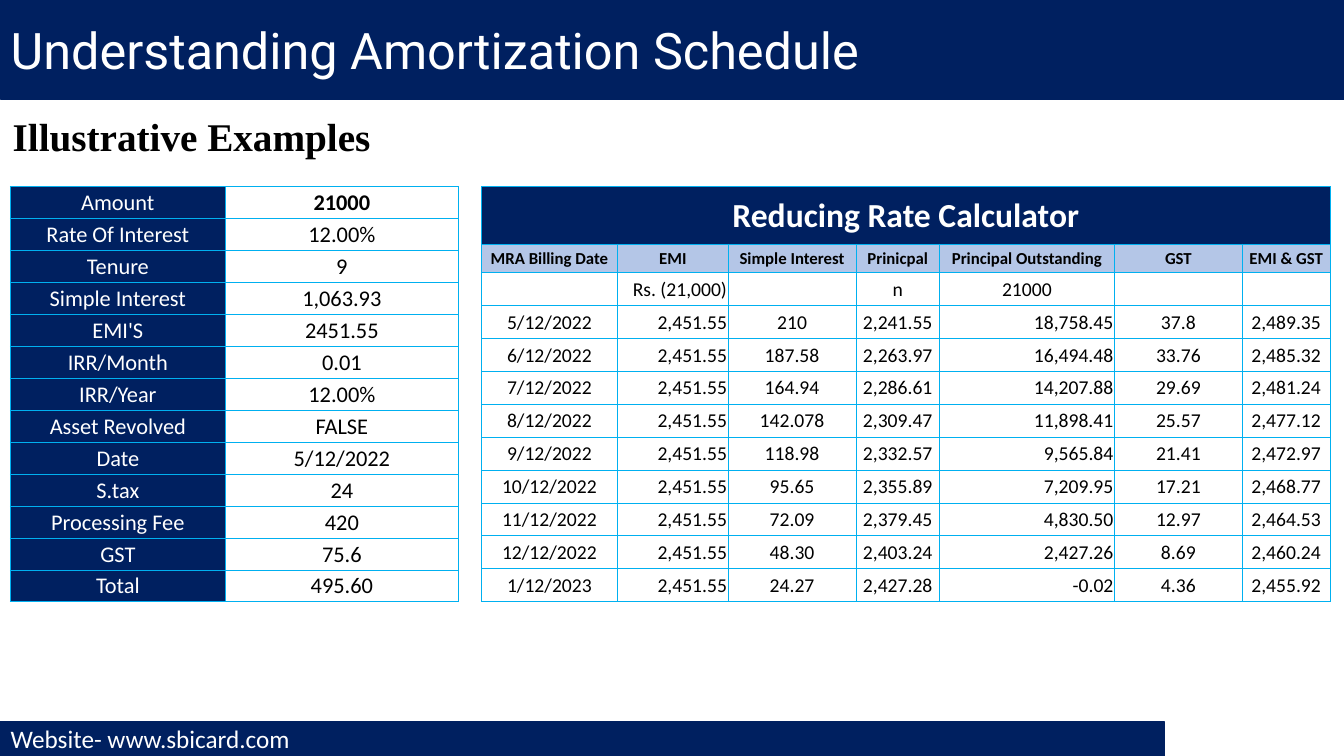
from lxml.etree import SubElement
from pptx import Presentation
from pptx.dml.color import RGBColor
from pptx.enum.shapes import MSO_SHAPE
from pptx.enum.text import MSO_ANCHOR, PP_ALIGN
from pptx.oxml.ns import qn
from pptx.util import Pt

NAVY, WHITE, BLACK, SKY, PALE = "002060", "FFFFFF", "000000", "00B0F0", "B4C6E7"


def write(frame, text, size, color, bold=False, name="Calibri", align=PP_ALIGN.LEFT):
    frame.text = text
    para = frame.paragraphs[0]
    para.alignment = align
    font = para.font
    font.size, font.bold, font.name = Pt(size), bold, name
    font.color.rgb = RGBColor.from_string(color)


def grid(left, widths, heights):
    frame = slide.shapes.add_table(len(heights), len(widths), Pt(left), Pt(133.2),
                                   Pt(sum(widths)), Pt(sum(heights)))
    table = frame.table
    table.first_row = table.horz_banding = False
    for col, width in zip(table.columns, widths):
        col.width = Pt(width)
    for row, height in zip(table.rows, heights):
        row.height = Pt(height)
    for cell in table.iter_cells():
        cell.margin_left = cell.margin_right = cell.margin_top = Pt(0.7)
        cell.margin_bottom = 0
        cell.vertical_anchor = MSO_ANCHOR.MIDDLE
        props = cell._tc.get_or_add_tcPr()
        for side in ("a:lnL", "a:lnR", "a:lnT", "a:lnB"):
            line = SubElement(props, qn(side), w=str(Pt(0.5)))
            paint = SubElement(line, qn("a:solidFill"))
            SubElement(paint, qn("a:srgbClr"), val=SKY)
        cell.fill.background()
    return table


deck = Presentation()
deck.slide_width, deck.slide_height = Pt(960), Pt(540)
slide = deck.slides.add_slide(deck.slide_layouts[6])

bars = [
    (0, 960, 70.8, "Understanding Amortization Schedule", 36, "Roboto"),
    (515.5, 831, 24.5, "Website- www.sbicard.com", 18, "Calibri"),
]
for top, width, height, text, size, name in bars:
    bar = slide.shapes.add_shape(MSO_SHAPE.RECTANGLE, Pt(0.5), Pt(top), Pt(width), Pt(height))
    bar.shadow.inherit = False
    bar.fill.solid()
    bar.fill.fore_color.rgb = RGBColor.from_string(NAVY)
    bar.line.color.rgb = RGBColor.from_string(NAVY)
    bar.line.width = Pt(1)
    bar.text_frame.vertical_anchor = MSO_ANCHOR.MIDDLE
    write(bar.text_frame, text, size, WHITE, name=name)

head = slide.shapes.add_textbox(Pt(2), Pt(77), Pt(522), Pt(41))
head.text_frame.word_wrap = True
write(head.text_frame, "Illustrative Examples", 28, BLACK, True, "Times New Roman")

terms = [
    ("Amount", "21000"),
    ("Rate Of Interest", "12.00%"),
    ("Tenure", "9"),
    ("Simple Interest", "1,063.93"),
    ("EMI'S", "2451.55"),
    ("IRR/Month", "0.01"),
    ("IRR/Year", "12.00%"),
    ("Asset Revolved", "FALSE"),
    ("Date", "5/12/2022"),
    ("S.tax", "24"),
    ("Processing Fee", "420"),
    ("GST", "75.6"),
    ("Total", "495.60"),
]
loan = grid(7.3, [153.8, 166.2], [22.82] * len(terms))
for r, (label, value) in enumerate(terms):
    key = loan.cell(r, 0)
    key.fill.solid()
    key.fill.fore_color.rgb = RGBColor.from_string(NAVY)
    write(key.text_frame, label, 16, WHITE, align=PP_ALIGN.CENTER)
    write(loan.cell(r, 1).text_frame, value, 16, BLACK, r == 0, align=PP_ALIGN.CENTER)

rows = [
    ("Reducing Rate Calculator",),
    ("MRA Billing Date", "EMI", "Simple Interest", "Prinicpal", "Principal Outstanding",
     "GST", "EMI & GST"),
    ("", "Rs. (21,000)", "", "n", "21000", "", ""),
    ("5/12/2022", "2,451.55", "210", "2,241.55", "18,758.45", "37.8", "2,489.35"),
    ("6/12/2022", "2,451.55", "187.58", "2,263.97", "16,494.48", "33.76", "2,485.32"),
    ("7/12/2022", "2,451.55", "164.94", "2,286.61", "14,207.88", "29.69", "2,481.24"),
    ("8/12/2022", "2,451.55", "142.078", "2,309.47", "11,898.41", "25.57", "2,477.12"),
    ("9/12/2022", "2,451.55", "118.98", "2,332.57", "9,565.84", "21.41", "2,472.97"),
    ("10/12/2022", "2,451.55", "95.65", "2,355.89", "7,209.95", "17.21", "2,468.77"),
    ("11/12/2022", "2,451.55", "72.09", "2,379.45", "4,830.50", "12.97", "2,464.53"),
    ("12/12/2022", "2,451.55", "48.30", "2,403.24", "2,427.26", "8.69", "2,460.24"),
    ("1/12/2023", "2,451.55", "24.27", "2,427.28", "-0.02", "4.36", "2,455.92"),
]
plan = grid(343.9, [97.2, 79, 91.4, 59.6, 125, 91.4, 62.7], [41, 20.5] + [23.52] * 10)
plan.cell(0, 0).merge(plan.cell(0, 6))
styles = {0: (24, WHITE, NAVY), 1: (12, BLACK, PALE)}
for r, row in enumerate(rows):
    size, color, fill = styles.get(r, (14, BLACK, None))
    for c, text in enumerate(row):
        cell = plan.cell(r, c)
        if fill:
            cell.fill.solid()
            cell.fill.fore_color.rgb = RGBColor.from_string(fill)
        right = (c == 1 and r > 1) or (c == 4 and r > 2)
        align = PP_ALIGN.RIGHT if right else PP_ALIGN.CENTER
        write(cell.text_frame, text, size, color, r < 2, align=align)

deck.save("out.pptx")
